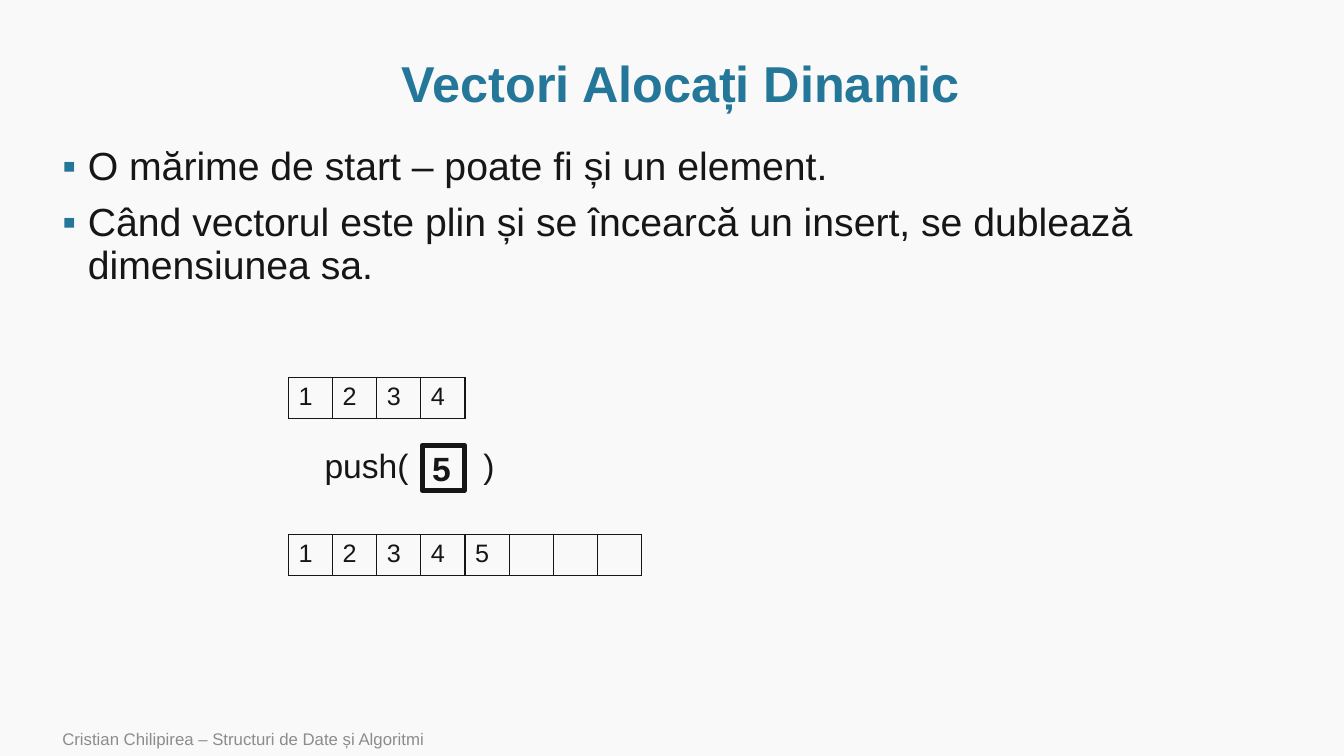
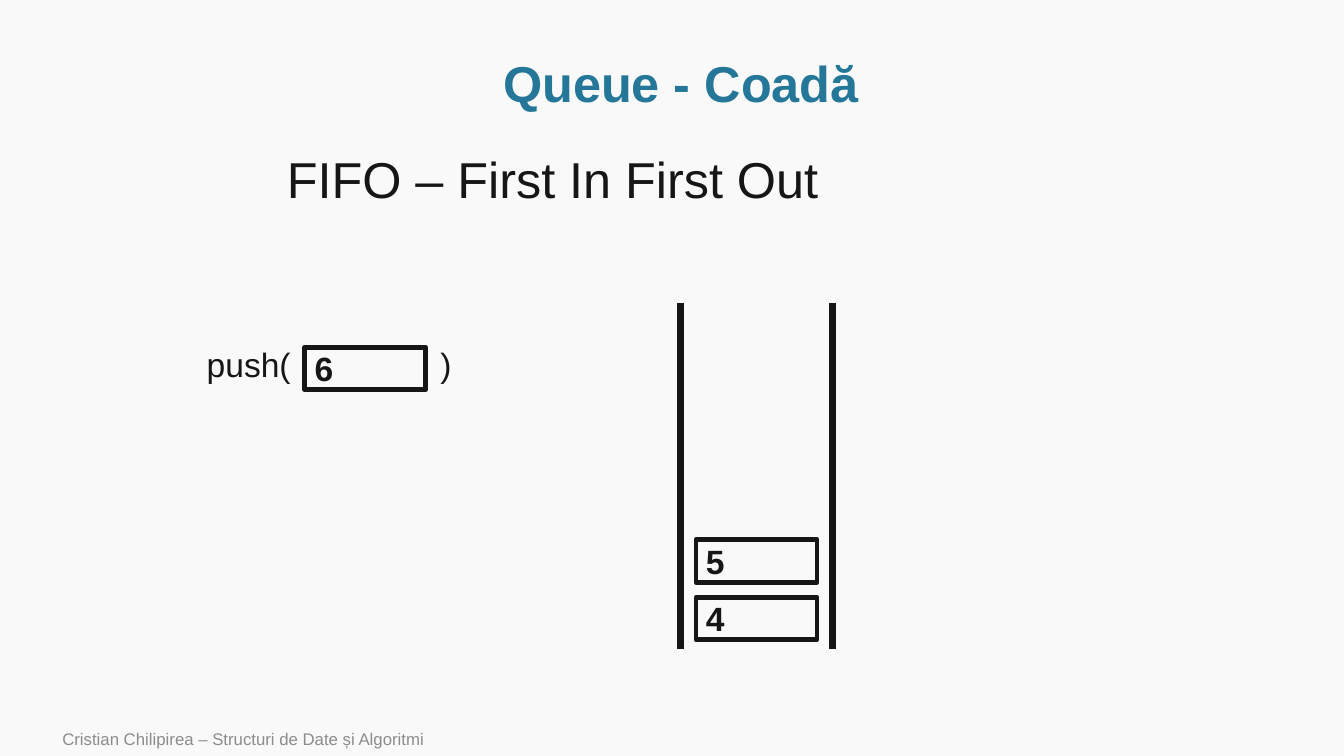
from lxml import etree
from pptx import Presentation
from pptx.dml.color import RGBColor
from pptx.enum.shapes import MSO_CONNECTOR, MSO_SHAPE
from pptx.enum.text import MSO_ANCHOR, MSO_AUTO_SIZE, PP_ALIGN
from pptx.oxml.ns import qn
from pptx.util import Cm, Pt

STRAIGHT = MSO_CONNECTOR.STRAIGHT
RECTANGLE = MSO_SHAPE.RECTANGLE
TOP, MIDDLE = MSO_ANCHOR.TOP, MSO_ANCHOR.MIDDLE
LEFT, CENTER = PP_ALIGN.LEFT, PP_ALIGN.CENTER
NO_AUTOFIT = MSO_AUTO_SIZE.NONE

COLORS = {"paper": "F9F9F9", "ink": "171616", "accent": "247798", "footer": "8C8C8C"}
FONT = "Arial"
FOOTER = "Cristian Chilipirea – Structuri de Date și Algoritmi"
BLOCK_CELLS, BLOCK_WIDTH, BLOCK_HEIGHT = 4, 4.45, 1.04
ITEM_WIDTH, ITEM_HEIGHT = 3.05, 1.07


def rgb(name):
    return RGBColor.from_string(COLORS[name])


def lengths(box):
    return [Cm(value) for value in box]


def add_child(parent, tag, **attributes):
    return etree.SubElement(parent, qn(tag), attributes)


def write(paragraph, text, size, color="ink", bold=False, align=LEFT):
    paragraph.alignment = align
    run = paragraph.add_run()
    run.text = text
    font = run.font
    font.name, font.size, font.bold = FONT, Pt(size), bold
    font.color.rgb = rgb(color)


def prepare_frame(frame, anchor=TOP):
    frame.word_wrap = True
    frame.auto_size = NO_AUTOFIT
    frame.vertical_anchor = anchor
    return frame.paragraphs[0]


def add_text(slide, box, text, size, color="ink", anchor=TOP):
    paragraph = prepare_frame(slide.shapes.add_textbox(*lengths(box)).text_frame, anchor)
    write(paragraph, text, size, color)
    return paragraph


def place(placeholder, box):
    placeholder.left, placeholder.top, placeholder.width, placeholder.height = lengths(box)
    return placeholder.text_frame


def start_slide(prs, layout_index, title):
    slide = prs.slides.add_slide(prs.slide_layouts[layout_index])
    heading = prepare_frame(place(slide.shapes.title, (2.56, 1.3, 29.21, 1.75)), MIDDLE)
    heading.line_spacing = 0.9
    write(heading, title, 36, "accent", True, CENTER)
    add_text(slide, (1.32, 18.19, 21.34, 0.86), FOOTER, 12, "footer", MIDDLE)
    return slide


def fill_bullets(body, box, points):
    frame = place(body, box)
    prepare_frame(frame)
    for index, point in enumerate(points):
        paragraph = frame.add_paragraph() if index else frame.paragraphs[0]
        paragraph.line_spacing = 0.9
        paragraph.space_before = Pt(10 if index else 0)
        properties = paragraph._p.get_or_add_pPr()
        properties.set("marL", str(Cm(0.64)))
        properties.set("indent", str(-Cm(0.64)))
        add_child(add_child(properties, "a:buClr"), "a:srgbClr", val=COLORS["accent"])
        add_child(properties, "a:buFont", typeface=FONT)
        add_child(properties, "a:buChar", char="▪")
        write(paragraph, point, 28)


def border_cell(cell):
    properties = cell._tc.get_or_add_tcPr()
    for tag in ("a:lnL", "a:lnR", "a:lnT", "a:lnB"):
        border = add_child(properties, tag, w=str(Pt(1)))
        add_child(add_child(border, "a:solidFill"), "a:srgbClr", val=COLORS["ink"])


def add_block(slide, left, top, values):
    box = (left, top, BLOCK_WIDTH, BLOCK_HEIGHT)
    block = slide.shapes.add_table(1, BLOCK_CELLS, *lengths(box)).table
    block.first_row = block.horz_banding = False
    for index in range(BLOCK_CELLS):
        cell = block.cell(0, index)
        border_cell(cell)
        cell.fill.background()
        if index < len(values):
            write(cell.text_frame.paragraphs[0], values[index], 18)


def add_vector(slide, left, top, values):
    for start in range(0, len(values), BLOCK_CELLS):
        block_left = left + start // BLOCK_CELLS * BLOCK_WIDTH
        add_block(slide, block_left, top, values[start:start + BLOCK_CELLS])


def add_item(slide, box, value):
    item = slide.shapes.add_shape(RECTANGLE, *lengths(box))
    item.shadow.inherit = False
    item.fill.background()
    item.line.color.rgb = rgb("ink")
    item.line.width = Pt(3.5)
    write(prepare_frame(item.text_frame, MIDDLE), value, 24, bold=True)


def add_push(slide, box, closing, item_box, value):
    left, top = box[:2]
    call = add_text(slide, box, "push(\t)", 24)
    tabs = add_child(call._p.get_or_add_pPr(), "a:tabLst")
    add_child(tabs, "a:tab", pos=str(Cm(closing)), algn="l")
    dx, dy, width, height = item_box
    add_item(slide, (left + dx, top + dy, width, height), value)


def add_queue(slide, box, values):
    left, top, width, height = box
    bottom = top + height
    for x in (left, left + width):
        wall = slide.shapes.add_connector(STRAIGHT, *lengths((x, top, x, bottom)))
        wall.line.color.rgb = rgb("ink")
        wall.line.width = Pt(5.5)
        add_child(wall._element.spPr, "a:effectLst")
    item_left = left + (width - ITEM_WIDTH) / 2
    first_top = bottom - 0.23 - ITEM_HEIGHT
    for index, value in enumerate(values):
        item_top = first_top - index * (ITEM_HEIGHT + 0.38)
        add_item(slide, (item_left, item_top, ITEM_WIDTH, ITEM_HEIGHT), value)


def build_vector_slide(prs):
    slide = start_slide(prs, 1, "Vectori Alocați Dinamic")
    fill_bullets(slide.placeholders[1], (1.32, 3.57, 31.12, 13.92), [
        "O mărime de start – poate fi și un element.",
        "Când vectorul este plin și se încearcă un insert, se dublează dimensiunea sa.",
    ])
    add_vector(slide, 7.27, 9.51, "1234")
    add_push(slide, (7.93, 11.09, 4.83, 1.27), 4, (2.71, 0.13, 1.07, 1.14), "5")
    add_vector(slide, 7.27, 13.47, "12345")


def build_queue_slide(prs):
    slide = start_slide(prs, 5, "Queue - Coadă")
    motto = add_text(slide, (6.98, 3.77, 15.44, 2.13), "FIFO – First In First Out", 36)
    motto.line_spacing = 0.9
    add_queue(slide, (17.15, 7.64, 3.83, 8.71), "45")
    add_push(slide, (4.96, 8.53, 6.96, 1.27), 5.89,
             (2.72, 0.22, ITEM_WIDTH, ITEM_HEIGHT), "6")


def main():
    prs = Presentation()
    prs.slide_width, prs.slide_height = Cm(33.87), Cm(19.05)
    background = prs.slide_master.background.fill
    background.solid()
    background.fore_color.rgb = rgb("paper")
    build_vector_slide(prs)
    build_queue_slide(prs)
    prs.save("out.pptx")


if __name__ == "__main__":
    main()
